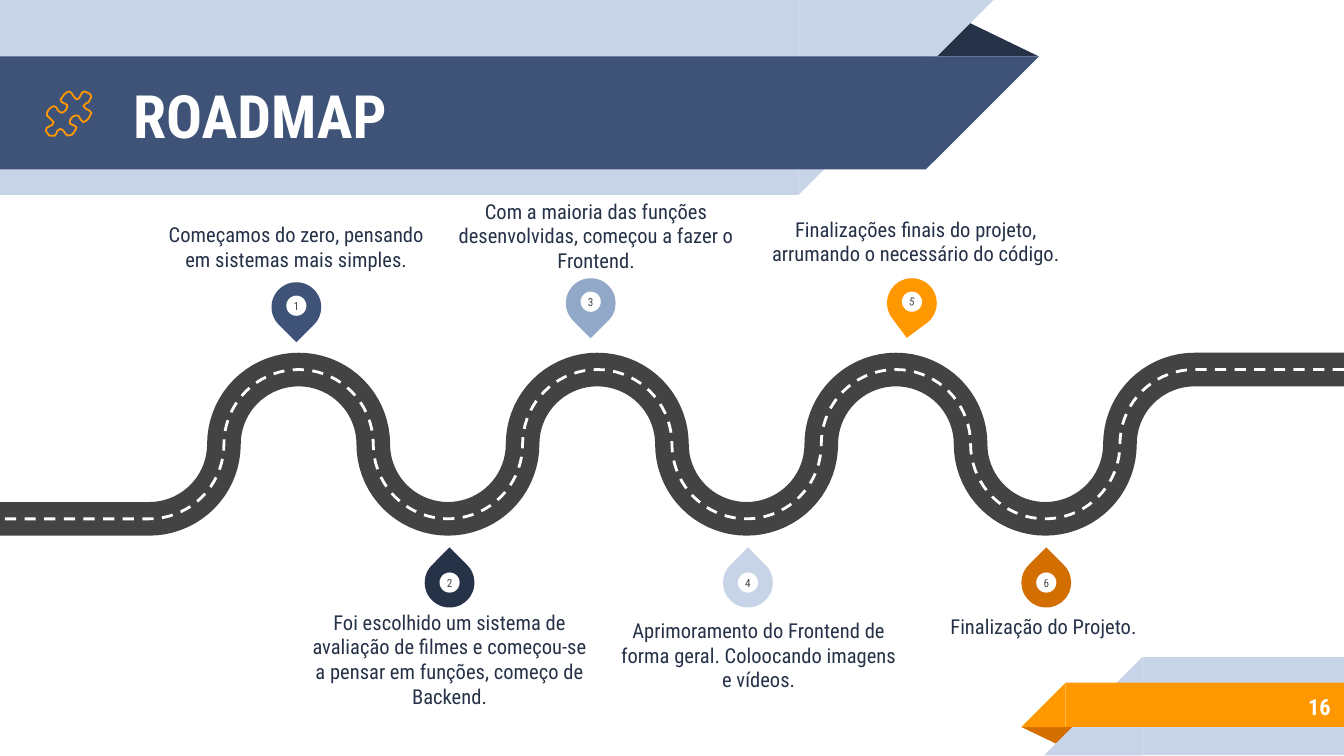
import math

from pptx import Presentation
from pptx.dml.color import RGBColor
from pptx.enum.dml import MSO_LINE
from pptx.enum.shapes import MSO_SHAPE
from pptx.enum.text import MSO_ANCHOR, PP_ALIGN
from pptx.util import Inches, Pt

RECT = MSO_SHAPE.RECTANGLE
CORNER = MSO_SHAPE.RIGHT_TRIANGLE
FOLD = MSO_SHAPE.ISOSCELES_TRIANGLE
DROP = MSO_SHAPE.TEAR
DISC = MSO_SHAPE.OVAL
DASH = MSO_LINE.DASH
LEFT, CENTER, RIGHT = PP_ALIGN.LEFT, PP_ALIGN.CENTER, PP_ALIGN.RIGHT
MIDDLE, BOTTOM = MSO_ANCHOR.MIDDLE, MSO_ANCHOR.BOTTOM

FONT = "Roboto Condensed"
COLORS = {
    "navy": "263248", "blue": "3F5378", "steel": "92A8C8", "pale": "C7D3E6",
    "orange": "FF9800", "rust": "D26F00", "road": "434343", "white": "FFFFFF",
}
DECOR = [
    (FOLD, (6.88, 0.14, 0.85, 0.28), "navy", "", 0),
    (RECT, (0, 0, 5.94, 1.45), "pale", "", 0),
    (CORNER, (5.94, 0, 1.45, 1.45), "pale", "flipH", 180),
    (RECT, (0, 0.42, 6.89, 0.84), "blue", "", 0),
    (CORNER, (6.89, 0.42, 0.84, 0.84), "blue", "flipH", 180),
    (FOLD, (7.6, 5.41, 0.43, 0.14), "rust", "", 180),
    (RECT, (8.5, 4.89, 1.5, 0.73), "pale", "", 0),
    (CORNER, (7.77, 4.89, 0.73, 0.73), "pale", "flipH", 0),
    (RECT, (7.93, 5.08, 2.08, 0.33), "orange", "", 0),
    (CORNER, (7.6, 5.08, 0.33, 0.33), "orange", "flipH", 0),
]
POINT_DOWN, POINT_UP = 135, 315
MILESTONES = [
    ("1", (2.02, 2.1), "blue", POINT_DOWN, 0, (1.25, 1.65, 1.91, 0.37),
     "Começamos do zero, pensando em sistemas mais simples."),
    ("2", (3.16, 4.15), "navy", POINT_UP, 0, (2.29, 4.9, 2.11, 0.37),
     "Foi escolhido um sistema de avaliação de filmes e começou-se "
     "a pensar em funções, começo de Backend."),
    ("3", (4.21, 2.07), "steel", POINT_DOWN, 0, (3.24, 1.66, 2.39, 0.37),
     "Com a maioria das funções desenvolvidas, começou a fazer o Frontend."),
    ("4", (5.38, 4.15), "pale", POINT_UP, 0, (4.59, 4.78, 2.11, 0.37),
     "Aprimoramento do Frontend de forma geral. Coloocando imagens e vídeos."),
    ("5", (6.6, 2.07), "orange", POINT_DOWN, 8.5, (5.7, 1.61, 2.23, 0.37),
     "Finalizações finais do projeto, arrumando o necessário do código."),
    ("6", (7.6, 4.15), "rust", POINT_UP, 0, (6.71, 4.57, 2.11, 0.18),
     "Finalização do Projeto."),
]
PUZZLE = [
    (0.64, 0.77), (0.66, 0.76), (0.67, 0.74), (0.68, 0.72), (0.67, 0.70),
    (0.65, 0.69), (0.63, 0.68), (0.61, 0.69), (0.60, 0.71), (0.59, 0.73),
    (0.57, 0.74), (0.55, 0.72), (0.53, 0.69), (0.51, 0.68), (0.48, 0.70),
    (0.46, 0.73), (0.45, 0.74), (0.46, 0.76), (0.48, 0.77), (0.50, 0.78),
    (0.50, 0.80), (0.49, 0.82), (0.48, 0.83), (0.46, 0.84), (0.44, 0.83),
    (0.43, 0.82), (0.42, 0.80), (0.40, 0.79), (0.38, 0.80), (0.36, 0.82),
    (0.35, 0.84), (0.35, 0.86), (0.37, 0.88), (0.39, 0.90), (0.40, 0.91),
    (0.39, 0.93), (0.37, 0.94), (0.35, 0.95), (0.34, 0.97), (0.35, 0.99),
    (0.37, 1.01), (0.39, 1.01), (0.41, 1.01), (0.42, 0.99), (0.43, 0.97),
    (0.45, 0.96), (0.47, 0.97), (0.49, 1.00), (0.51, 1.01), (0.54, 1.00),
    (0.56, 0.97), (0.57, 0.95), (0.56, 0.94), (0.54, 0.93), (0.52, 0.92),
    (0.52, 0.90), (0.53, 0.88), (0.54, 0.87), (0.56, 0.86), (0.58, 0.86),
    (0.59, 0.87), (0.60, 0.89), (0.61, 0.90), (0.62, 0.91), (0.64, 0.90),
    (0.66, 0.88), (0.67, 0.86), (0.68, 0.84), (0.66, 0.82), (0.64, 0.81),
    (0.62, 0.79), (0.63, 0.78),
]


def color(name):
    """Return the named colour."""
    return RGBColor.from_string(COLORS[name])


def place(item, box):
    """Set position and size in inches."""
    item.left, item.top, item.width, item.height = map(Inches, box)


def write(item, text, size, ink, align, anchor, margin=0, bold=False):
    """Fill a shape's text frame with one formatted run."""
    frame = item.text_frame
    frame.word_wrap = True
    frame.vertical_anchor = anchor
    frame.margin_left = frame.margin_right = Inches(margin)
    frame.margin_top = frame.margin_bottom = Inches(margin)
    paragraph = frame.paragraphs[0]
    paragraph.alignment = align
    run = paragraph.add_run()
    run.text = text
    run.font.name = FONT
    run.font.size = Pt(size)
    run.font.bold = bold
    run.font.color.rgb = color(ink)


def add_label(slide, box, *args, **kwargs):
    """Add a text box with one run."""
    write(slide.shapes.add_textbox(*map(Inches, box)), *args, **kwargs)


def add_solid(slide, kind, box, fill, flip="", rotation=0):
    """Add a borderless filled preset shape."""
    solid = slide.shapes.add_shape(kind, *map(Inches, box))
    solid.shadow.inherit = False
    solid.fill.solid()
    solid.fill.fore_color.rgb = color(fill)
    solid.line.fill.background()
    solid.rotation = rotation
    if flip:
        solid.element.spPr.xfrm.set(flip, "1")
    if kind == FOLD:
        solid.adjustments[0] = 0.32
    return solid


def add_outline(slide, points, ink, width, close=False, dash=None):
    """Draw an unfilled line through points given in inches."""
    scaled = [(Inches(x), Inches(y)) for x, y in points]
    builder = slide.shapes.build_freeform(*scaled[0])
    builder.add_line_segments(scaled[1:], close=close)
    outline = builder.convert_to_shape()
    outline.shadow.inherit = False
    outline.fill.background()
    outline.line.color.rgb = color(ink)
    outline.line.width = Pt(width)
    if dash:
        outline.line.dash_style = dash


def road_points():
    """Trace the road from right to left as alternating half circles."""
    pitch, top = 10 / 9, 2.75
    radius = pitch / 2
    middle = top + radius
    points = [(10, top)]
    for bend in range(8):
        center = pitch * (8 - bend)
        side = 1 if bend % 2 else -1
        first, last = (90 if bend == 0 else 0), (90 if bend == 7 else 180)
        for degrees in range(first, last + 1, 5):
            angle = math.radians(degrees)
            points.append((center + radius * math.cos(angle),
                           middle + side * radius * math.sin(angle)))
    return points + [(0, middle + radius)]


def add_milestone(slide, number, corner, fill, direction, tilt, box, text):
    """Add a numbered pin and its description."""
    left, top = corner
    add_solid(slide, DROP, (left, top, 0.37, 0.37), fill, rotation=direction + tilt)
    drop = 0.11 if direction == POINT_UP else 0.1
    disc = add_solid(slide, DISC, (left + 0.11, top + drop, 0.15, 0.15), "white", rotation=tilt)
    write(disc, number, 6, "road", CENTER, MIDDLE)
    add_label(slide, box, text, 11, "navy", CENTER, BOTTOM)


def main():
    """Build the roadmap slide."""
    deck = Presentation()
    deck.slide_width = Inches(10)
    deck.slide_height = Inches(10) * 9 // 16
    slide = deck.slides.add_slide(deck.slide_layouts[5])
    for decor in DECOR:
        add_solid(slide, *decor)
    title = slide.shapes.title
    title.element.getparent().append(title.element)
    place(title, (0.89, 0.43, 5.75, 0.84))
    write(title, "ROADMAP", 32, "white", LEFT, MIDDLE, margin=0.1, bold=True)
    add_label(slide, (8.37, 5.08, 1.63, 0.35), "16", 12, "white", RIGHT, MIDDLE,
              margin=0.1, bold=True)
    road = road_points()
    add_outline(slide, road, "road", 18)
    add_outline(slide, road, "white", 1.5, dash=DASH)
    add_outline(slide, PUZZLE, "orange", 0.96, close=True)
    for milestone in MILESTONES:
        add_milestone(slide, *milestone)
    deck.save("out.pptx")


if __name__ == "__main__":
    main()
